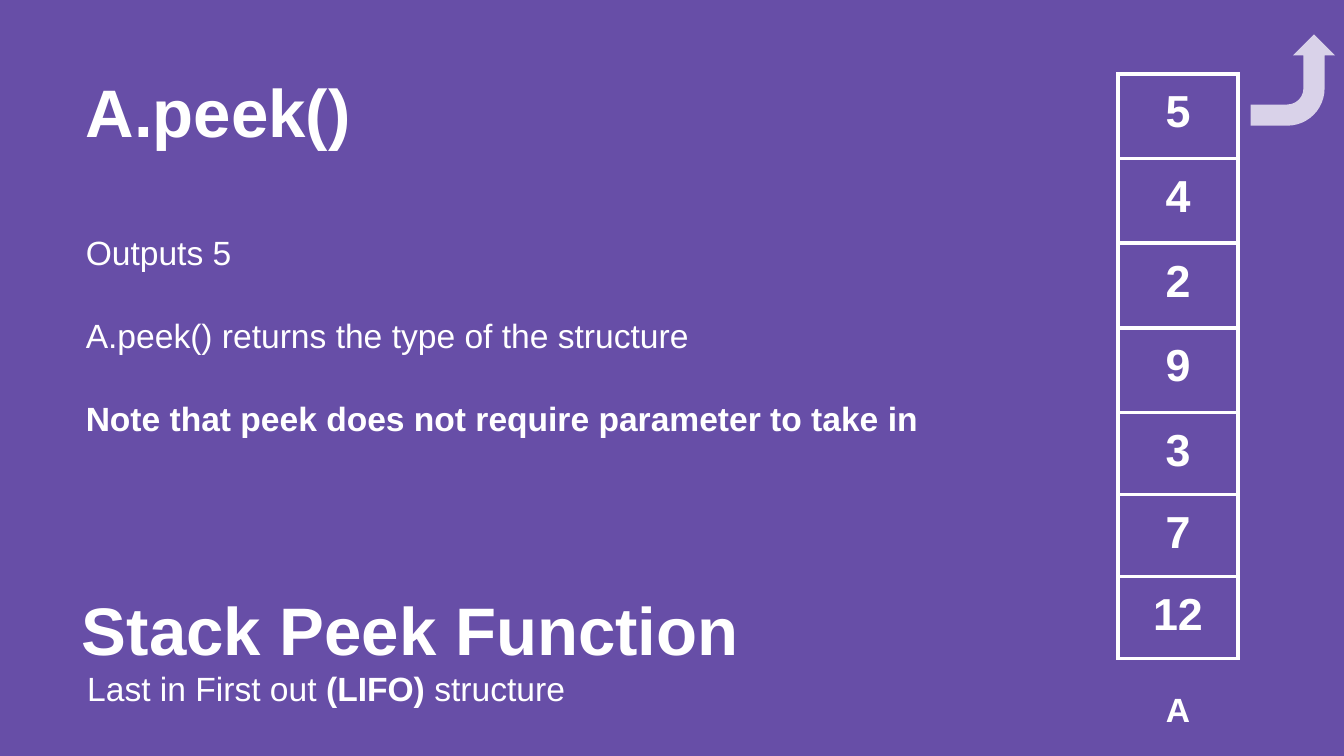
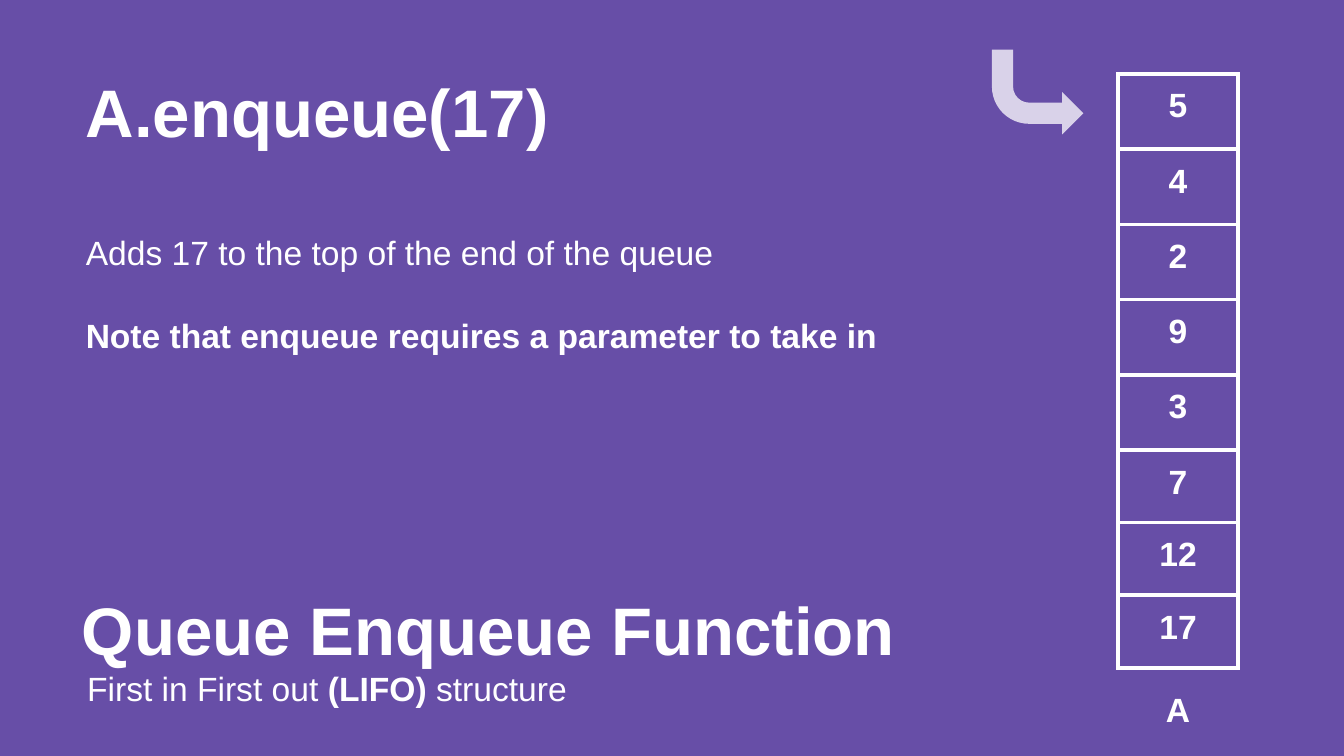
from dataclasses import dataclass

from lxml import etree
from pptx import Presentation
from pptx.dml.color import RGBColor
from pptx.enum.shapes import MSO_SHAPE
from pptx.enum.text import MSO_ANCHOR, MSO_AUTO_SIZE, PP_ALIGN
from pptx.oxml.ns import qn
from pptx.util import Pt

BENT_ARROW = MSO_SHAPE.BENT_ARROW
LEFT, CENTER = PP_ALIGN.LEFT, PP_ALIGN.CENTER
TOP = MSO_ANCHOR.TOP
NO_AUTOFIT = MSO_AUTO_SIZE.NONE
PX = 4572
TITLE_ONLY = 5


@dataclass(frozen=True)
class Theme:
    """Colours, type sizes and spacing shared by the slides."""

    font: str = "Arial"
    background: str = "674EA7"
    ink: str = "FFFFFF"
    arrow: str = "D9D2E9"
    heading: int = 36
    cell: int = 24
    body: int = 18
    border: float = 2.25
    inset: int = 20
    line_spacing: float = 1.1
    heading_gap: float = 41.4
    body_gap: float = 20.7


THEME = Theme()


def px(length):
    """Turn px into EMU."""
    return length * PX


def write(para, text, *, size=THEME.body, bold=False, align=LEFT):
    """Add a formatted span to a paragraph."""
    para.alignment = align
    span = para.add_run()
    span.text = text
    font = span.font
    font.name, font.size, font.bold = THEME.font, Pt(size), bold
    font.color.rgb = RGBColor.from_string(THEME.ink)


def place(box, left, top, width, height):
    """Position a text shape and return its first paragraph."""
    box.left, box.top = px(left), px(top)
    box.width, box.height = px(width), px(height)
    frame = box.text_frame
    frame.word_wrap, frame.auto_size = True, NO_AUTOFIT
    frame.vertical_anchor = TOP
    frame.margin_left = frame.margin_right = px(THEME.inset)
    frame.margin_top = frame.margin_bottom = px(THEME.inset)
    para = frame.paragraphs[0]
    para.line_spacing = THEME.line_spacing
    return para


def add_box(page, *bounds):
    """Add a text box and return it with its first paragraph."""
    box = page.shapes.add_textbox(0, 0, 0, 0)
    return box, place(box, *bounds)


def add_explanation(page, call, lines):
    """Add the call and its explanation, with the last line in bold."""
    box, para = add_box(page, 108, 72, 1580, 882)
    write(para, call, size=THEME.heading, bold=True)
    gap = THEME.heading_gap
    for line in lines:
        para = box.text_frame.add_paragraph()
        para.line_spacing = THEME.line_spacing
        para.space_before = Pt(gap)
        write(para, line, bold=line == lines[-1])
        gap = THEME.body_gap


def add_footing(page, title, order):
    """Add the slide title, the structure line and the table label."""
    para = place(page.shapes.title, 102, 844, 1480, 162)
    write(para, title, size=THEME.heading, bold=True)
    _, para = add_box(page, 110, 968, 1270, 142)
    write(para, order + " ")
    write(para, "(LIFO) ", bold=True)
    write(para, "structure")
    _, para = add_box(page, 1616, 1000, 274, 94)
    write(para, "A", bold=True, align=CENTER)


def outline_cell(cell):
    """Draw the four borders of a table cell."""
    properties = cell._tc.get_or_add_tcPr()
    for index, side in enumerate(("lnL", "lnR", "lnT", "lnB")):
        line = etree.Element(qn("a:" + side), w=str(Pt(THEME.border)))
        fill = etree.SubElement(line, qn("a:solidFill"))
        etree.SubElement(fill, qn("a:srgbClr"), val=THEME.ink)
        properties.insert(index, line)


def add_stack(page, values, heights, size):
    """Add the one-column table of stored values."""
    frame = page.shapes.add_table(
        len(values), 1, px(1664), px(110), px(178), px(sum(heights)))
    table = frame.table
    table.first_row = table.horz_banding = False
    for row, value, height in zip(table.rows, values, heights):
        row.height = px(height)
        cell = row.cells[0]
        cell.fill.background()
        cell.vertical_anchor = TOP
        cell.margin_left = cell.margin_right = px(THEME.inset)
        cell.margin_top = cell.margin_bottom = px(THEME.inset)
        write(cell.text_frame.paragraphs[0], str(value),
              size=size, bold=True, align=CENTER)
        outline_cell(cell)


def add_arrow(page, left, top, rotation):
    """Add a mirrored bent arrow turned by the given angle."""
    arrow = page.shapes.add_shape(
        BENT_ARROW, px(left), px(top), px(136), px(126))
    arrow.rotation = rotation
    arrow.shadow.inherit = False
    arrow.fill.solid()
    arrow.fill.fore_color.rgb = RGBColor.from_string(THEME.arrow)
    arrow.line.fill.background()
    for index, value in enumerate((0.25, 0.25, 0.25, 0.44)):
        arrow.adjustments[index] = value
    arrow._element.spPr.xfrm.set("flipH", "1")


def add_page(deck, title, order, call, lines):
    """Add a slide with its title, structure line and explanation."""
    page = deck.slides.add_slide(deck.slide_layouts[TITLE_ONLY])
    add_explanation(page, call, lines)
    add_footing(page, title, order)
    return page


def main():
    """Build and save the deck."""
    deck = Presentation()
    deck.slide_width, deck.slide_height = px(2000), px(1125)
    background = deck.slide_master.background.fill
    background.solid()
    background.fore_color.rgb = RGBColor.from_string(THEME.background)
    values = [5, 4, 2, 9, 3, 7, 12]

    page = add_page(deck, "Stack Peek Function", "Last in First out", "A.peek()", [
        "Outputs 5",
        "A.peek() returns the type of the structure",
        "Note that peek does not require parameter to take in",
    ])
    add_stack(page, values, [126] * 4 + [122] * 3, THEME.cell)
    add_arrow(page, 1856, 56, 90)

    page = add_page(deck, "Queue Enqueue Function", "First in First out", "A.enqueue(17)", [
        "Adds 17 to the top of the end of the queue",
        "Note that enqueue requires a parameter to take in",
    ])
    add_stack(page, values + [17], [112] * 5 + [108] * 3, THEME.body)
    add_arrow(page, 1476, 74, 180)

    deck.save("out.pptx")


if __name__ == "__main__":
    main()
